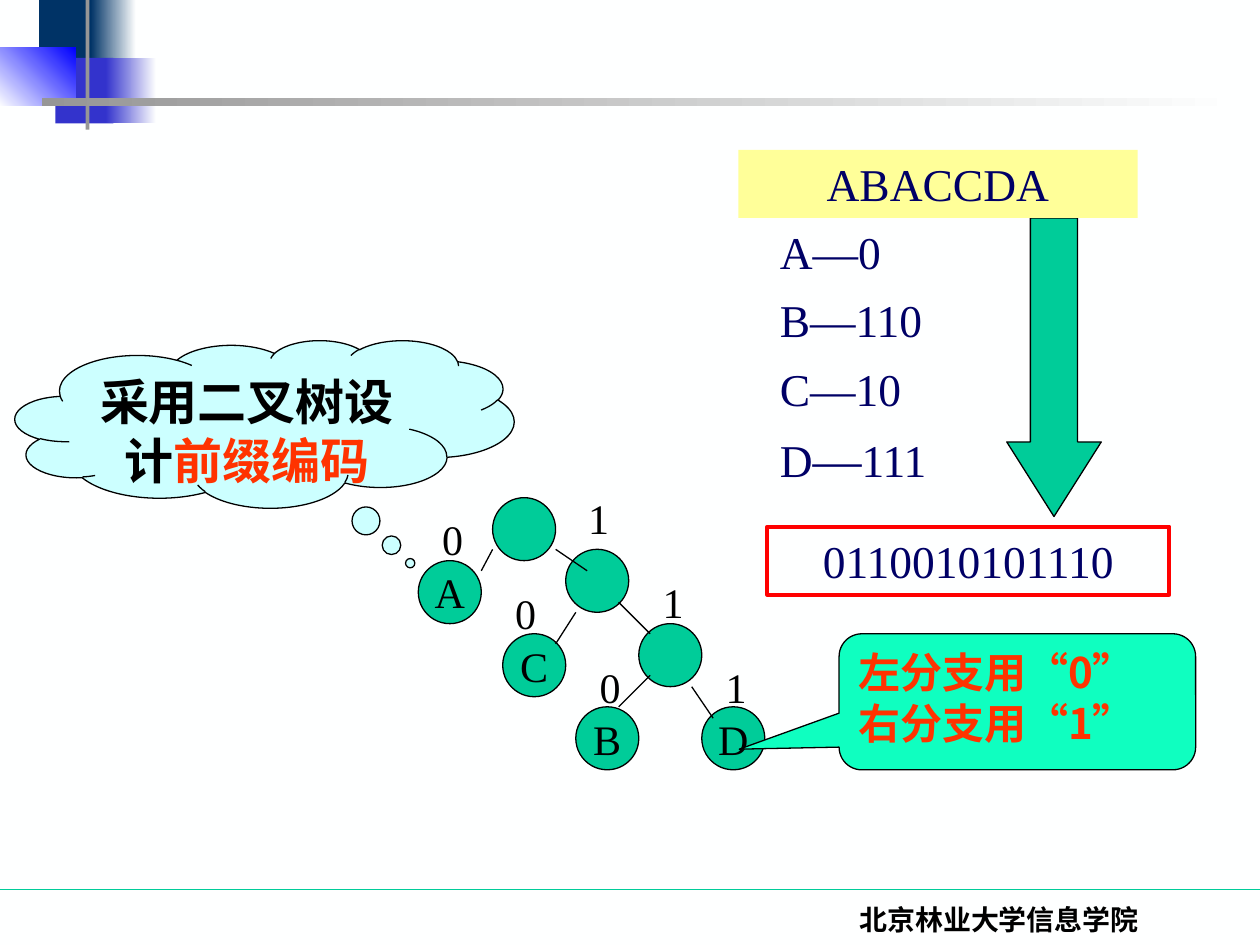
from lxml import etree
from pptx import Presentation
from pptx.dml.color import RGBColor
from pptx.enum.shapes import MSO_CONNECTOR, MSO_SHAPE
from pptx.enum.text import MSO_ANCHOR, PP_ALIGN
from pptx.oxml.ns import qn
from pptx.util import Inches, Pt

RECT, OVAL = MSO_SHAPE.RECTANGLE, MSO_SHAPE.OVAL
CLOUD, ARROW = MSO_SHAPE.CLOUD_CALLOUT, MSO_SHAPE.DOWN_ARROW
SPEECH = MSO_SHAPE.ROUNDED_RECTANGULAR_CALLOUT
LINE = MSO_CONNECTOR.STRAIGHT
TOP, MID = MSO_ANCHOR.TOP, MSO_ANCHOR.MIDDLE
LEFT, CENTER = PP_ALIGN.LEFT, PP_ALIGN.CENTER
SERIF, SANS = "Times New Roman", "Noto Sans CJK SC"
HEX = {
    "paper": "FEFFFF", "green": "00CC99", "black": "000000",
    "navy": "003366", "indigo": "3333CC", "blue": "0000FF",
    "gray": "969696", "sky": "CCFFFF", "mint": "0FFFC0",
    "orange": "FF3300", "ink": "000066", "red": "FF0000",
    "yellow": "FFFF99",
}
RGB = {name: RGBColor.from_string(code) for name, code in HEX.items()}

deck = Presentation()
deck.slide_width, deck.slide_height = Inches(10), Inches(7.5)
slide = deck.slides.add_slide(deck.slide_layouts[6])
slide.background.fill.solid()
slide.background.fill.fore_color.rgb = RGB["paper"]
shapes = slide.shapes


def draw(kind, box, fill=None, line=None, width=0.75):
    shape = shapes.add_shape(kind, *[Inches(v) for v in box])
    shape.shadow.inherit = False
    if fill:
        shape.fill.solid()
        shape.fill.fore_color.rgb = RGB[fill]
    else:
        shape.fill.background()
    if line:
        shape.line.color.rgb = RGB[line]
        shape.line.width = Pt(width)
    else:
        shape.line.fill.background()
    return shape


def write(shape, rows, size, color="black", align=LEFT, bold=False,
          face=SERIF, anchor=TOP, wrap=True):
    frame = shape.text_frame
    frame.word_wrap = wrap
    frame.vertical_anchor = anchor
    for i, row in enumerate(rows):
        para = frame.add_paragraph() if i else frame.paragraphs[0]
        para.alignment = align
        for text in row if isinstance(row, list) else [row]:
            para.add_run().text = text
        font = para.font
        font.name, font.size, font.bold = face, Pt(size), bold
        font.color.rgb = RGB[color]
    return frame.paragraphs


bars = [
    ((0.31, 0, 0.48, 0.52), "navy", None, 0),
    ((0.72, 0, 0.36, 0.52), "navy", "paper", 0),
    ((0.44, 0.46, 0.46, 0.52), "indigo", None, 0),
    ((0.84, 0.46, 0.4, 0.52), "indigo", "paper", 0),
    ((-0.01, 0.38, 0.61, 0.46), "paper", "blue", 45),
    ((0.68, -0.12, 0.03, 1.15), "gray", None, 0),
    ((0.33, 0.78, 9.51, 0.06), "gray", "paper", 0),
]
for box, first, last, angle in bars:
    bar = draw(RECT, box, first)
    if last:
        bar.fill.gradient()
        bar.fill.gradient_angle = angle
        for stop, name in zip(bar.fill.gradient_stops, (first, last)):
            stop.color.rgb = RGB[name]

nodes = [
    (3.91, 3.95, ""), (4.49, 4.36, ""), (5.07, 4.95, ""),
    (3.32, 4.45, "A"), (3.99, 5.03, "C"),
    (4.57, 5.61, "B"), (5.57, 5.61, "D"),
]
for x, y, name in nodes:
    node = draw(OVAL, (x, y, 0.5, 0.5), "green", "black")
    if name:
        write(node, [name], 24, align=CENTER, anchor=MID, wrap=False)

links = [
    (0, 7.06, 10, 7.06, "green"),
    (3.91, 4.36, 3.82, 4.53, "black"),
    (4.41, 4.36, 4.66, 4.53, "black"),
    (4.57, 4.86, 4.41, 5.11, "black"),
    (5.16, 5.36, 4.91, 5.61, "black"),
    (5.49, 5.45, 5.66, 5.7, "black"),
    (4.91, 4.78, 5.16, 5.03, "black"),
]
for *ends, color in links:
    link = shapes.add_connector(LINE, *[Inches(v) for v in ends])
    link.line.color.rgb = RGB[color]
    link.line.width = Pt(0.75)
    etree.SubElement(link._element.spPr, qn("a:effectLst"))

bits = [
    (3.41, 4.03, "0"), (3.99, 4.61, "0"), (4.66, 5.2, "0"),
    (4.57, 3.86, "1"), (5.16, 4.53, "1"), (5.66, 5.2, "1"),
]
for x, y, bit in bits:
    label = shapes.add_textbox(Inches(x), Inches(y), Inches(0.58), Inches(0.5))
    write(label, [bit], 24)

foot = shapes.add_textbox(Inches(5.86), Inches(7.11), Inches(4.14), Inches(0.39))
write(foot, ["北京林业大学信息学院"], 16, align=CENTER, bold=True)

cloud = draw(CLOUD, (0.12, 2.7, 3.96, 1.33), "sky", "black")
cloud.adjustments[0], cloud.adjustments[1] = 0.292, 0.831
idea = write(cloud, [["采用二叉树设计", "前缀编码"]], 28, align=CENTER, bold=True)
idea[0].runs[1].font.color.rgb = RGB["orange"]

speech = draw(SPEECH, (6.66, 5.03, 2.83, 1.08), "mint", "black")
for i, value in enumerate((-0.78, 0.348, 0.167)):
    speech.adjustments[i] = value
write(speech, ["左分支用“0”", "右分支用“1”"], 24, "orange", bold=True, face=SANS)

codes = shapes.add_textbox(Inches(6.09), Inches(1.73), Inches(1.52), Inches(3.87))
rows = write(codes, ["A—0", "B—110", "C—10", ["D", "—", "111"]], 26, "ink")
for row in rows[1:]:
    row.space_before = Pt(7.8)
rows[3].runs[1].font.size = Pt(28)

arrow = draw(ARROW, (7.99, 1.73, 0.75, 2.37), "green", "black")
arrow.adjustments[0], arrow.adjustments[1] = 0.5, 0.789

coded = draw(RECT, (6.09, 4.18, 3.19, 0.54), line="red", width=2.25)
write(coded, ["0110010101110"], 26, "ink", CENTER)
plain = draw(RECT, (5.86, 1.19, 3.17, 0.54), "yellow")
write(plain, ["ABACCDA"], 26, "ink", CENTER)

deck.save("out.pptx")
